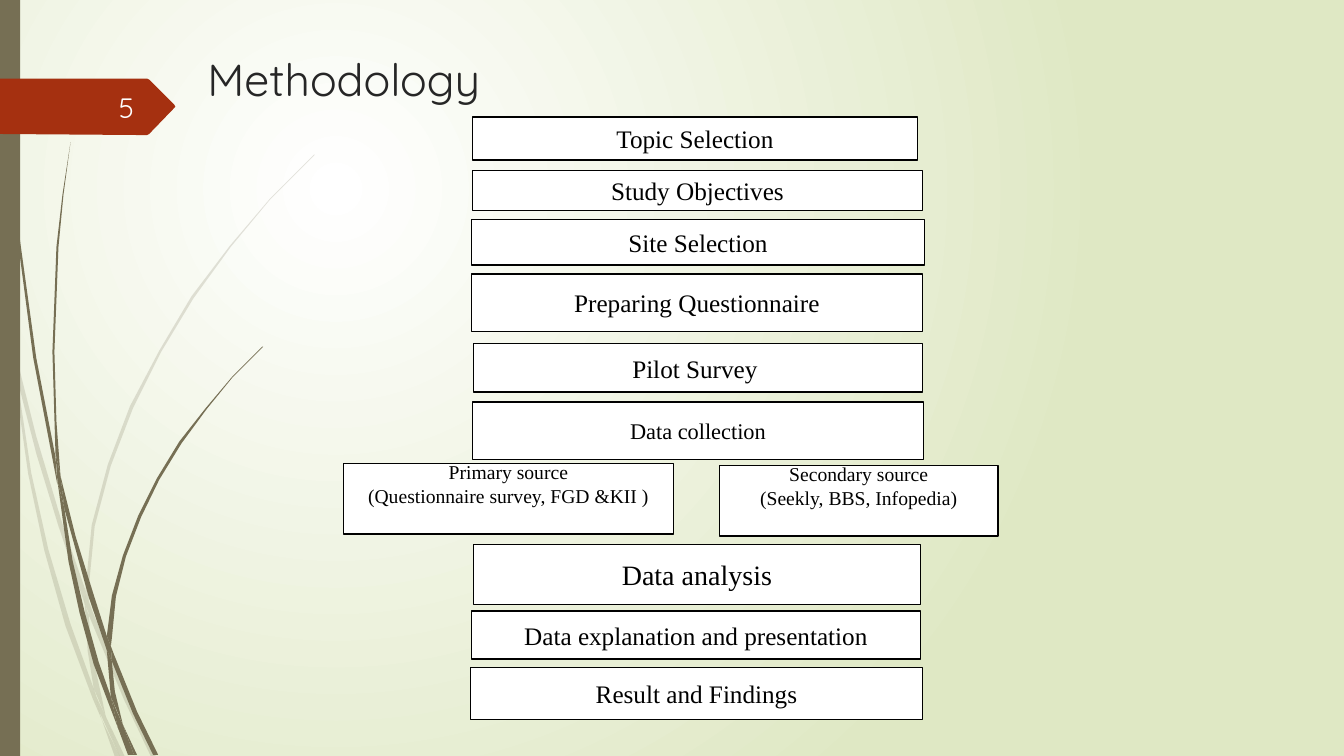
from typing import NamedTuple

from lxml import etree
from pptx import Presentation
from pptx.dml.color import RGBColor
from pptx.enum.shapes import MSO_SHAPE
from pptx.enum.text import MSO_ANCHOR, PP_ALIGN
from pptx.oxml.ns import qn
from pptx.shapes.autoshape import Shape
from pptx.slide import Slide
from pptx.text.text import TextFrame
from pptx.util import Emu, Inches, Pt

RECTANGLE = MSO_SHAPE.RECTANGLE
TOP, MIDDLE = MSO_ANCHOR.TOP, MSO_ANCHOR.MIDDLE
LEFT, CENTER, RIGHT = PP_ALIGN.LEFT, PP_ALIGN.CENTER, PP_ALIGN.RIGHT

WHITE = RGBColor(0xFF, 0xFF, 0xFF)
BLACK = RGBColor(0x00, 0x00, 0x00)
MEADOW = RGBColor(0xDF, 0xE8, 0xC4)
STEM = RGBColor(0x76, 0x6F, 0x54)
RUST = RGBColor(0xA5, 0x30, 0x10)
CHARCOAL = RGBColor(0x26, 0x26, 0x26)
NUMBER_WHITE = RGBColor(0xFE, 0xFF, 0xFF)
HEADING_FONT, BODY_FONT = "Quicksand", "Times New Roman"

COLUMNS, ROWS = 40 / 3, 7.5
SLIDE_WIDTH, SLIDE_HEIGHT = Inches(COLUMNS), Inches(ROWS)
PALE_OPACITY = 20

Outline = list[tuple[float, float]]


class Area(NamedTuple):
    column: float
    row: float
    columns: float
    rows: float


class Style(NamedTuple):
    font: str
    size: float
    color: RGBColor
    align: PP_ALIGN


class Step(NamedTuple):
    area: Area
    lines: list[str]
    size: float = 18
    border: float = 1
    top_inset: float = 0.05
    bottom_inset: float = 0.05


PALE_BLADES: list[Outline] = [
    [(0.11, 3.5), (0.09, 3.22), (0, 2.82), (0, 2.99), (0.1, 3.44)],
    [(0.58, 5.22), (0.84, 5.99), (0.85, 5.86), (0.62, 5.2), (0.36, 4.33),
     (0.14, 3.45), (0.17, 3.76), (0.36, 4.5)],
    [(0.92, 6.07), (0.88, 5.96), (0.88, 6.1), (1.23, 6.94), (1.5, 7.51),
     (1.55, 7.51), (1.27, 6.92)],
    [(1.19, 7.51), (1.24, 7.51), (1.05, 7.11)],
    [(0.93, 6.83), (0.7, 6.19), (0.48, 5.45), (0.31, 4.69), (0.17, 3.76),
     (0.11, 3.5), (0.28, 4.7), (0.44, 5.46), (0.65, 6.21), (0.92, 6.93),
     (1.01, 7.14), (0.99, 7.07)],
    [(0.84, 5.99), (0.87, 6.46), (0.93, 6.83), (1.05, 7.11), (0.91, 6.46),
     (0.88, 6.1)],
    [(0.88, 5.84), (0.94, 5.22), (1.1, 4.62), (1.32, 4.05), (1.6, 3.49),
     (1.92, 2.96), (2.29, 2.45), (2.68, 1.98), (3.12, 1.54), (3.12, 1.53),
     (2.68, 1.97), (2.28, 2.44), (1.9, 2.94), (1.58, 3.48), (1.29, 4.03),
     (1.07, 4.61), (0.91, 5.21), (0.85, 5.84), (0.88, 5.96)],
    [(1.01, 7.14), (1.14, 7.51), (1.19, 7.51)],
    [(0.88, 6.08), (0.88, 5.96), (0.85, 5.86), (0.84, 5.99)],
    [(0.96, 6.92), (0.93, 6.83), (0.99, 7.07), (1.19, 7.51), (1.05, 7.11)],
]

DARK_BLADES: list[Outline] = [
    [(0.07, 1.1), (0.17, 2.33), (0.33, 3.55), (0.57, 4.81), (0.55, 4.53),
     (0.36, 3.55), (0.19, 2.32), (0.08, 1.09), (0.04, 0), (0.03, 0)],
    [(0.88, 5.92), (1.06, 6.45), (1.06, 6.31), (0.93, 5.9), (0.75, 5.32),
     (0.6, 4.72), (0.64, 5.05)],
    [(1.13, 6.49), (1.1, 6.41), (1.11, 6.56), (1.32, 7.08), (1.52, 7.49),
     (1.57, 7.49), (1.36, 7.06)],
    [(1.1, 6.91), (0.98, 6.57), (0.84, 6.07), (0.72, 5.56), (0.64, 5.05),
     (0.57, 4.77), (0.68, 5.57), (0.79, 6.08), (0.93, 6.59), (1.17, 7.22)],
    [(0.6, 4.72), (0.56, 4.18), (0.54, 3.49), (0.58, 2.45), (0.63, 1.93),
     (0.7, 1.41), (0.62, 1.93), (0.56, 2.45), (0.52, 3.49), (0.55, 4.49)],
    [(1.33, 7.49), (1.36, 7.49), (1.22, 7.19)],
    [(0.57, 4.77), (0.64, 5.05), (0.6, 4.72), (0.55, 4.49)],
    [(1.11, 6.33), (1.15, 5.92), (1.25, 5.52), (1.4, 5.13), (1.58, 4.76),
     (1.8, 4.4), (2.05, 4.06), (2.31, 3.74), (2.61, 3.44), (2.6, 3.44),
     (2.31, 3.73), (2.04, 4.05), (1.78, 4.38), (1.56, 4.74), (1.37, 5.12),
     (1.22, 5.51), (1.11, 5.91), (1.06, 6.31), (1.1, 6.41)],
    [(1.17, 7.22), (1.27, 7.49), (1.31, 7.49)],
    [(1.06, 6.45), (1.1, 6.91), (1.22, 7.19), (1.14, 6.86), (1.11, 6.56)],
    [(1.06, 6.45), (1.11, 6.56), (1.1, 6.41), (1.06, 6.31)],
    [(1.16, 7.06), (1.1, 6.91), (1.17, 7.22), (1.3, 7.49), (1.33, 7.49),
     (1.22, 7.19)],
]

BADGE: Outline = [(1.74, 1.06), (1.48, 1.33), (1.46, 1.34), (1.36, 1.34), (0, 1.33),
                  (0, 0.78), (1.46, 0.78), (1.48, 0.79), (1.73, 1.04)]

STEPS = [
    Step(Area(4.69, 1.16, 4.41, 0.43), ["Topic Selection"]),
    Step(Area(4.69, 1.69, 4.46, 0.4), ["Study Objectives"], border=0.75),
    Step(Area(4.68, 2.18, 4.49, 0.45), ["Site Selection"]),
    Step(Area(4.68, 2.72, 4.47, 0.57), ["Preparing Questionnaire"]),
    Step(Area(4.7, 3.41, 4.45, 0.48), ["Pilot Survey "]),
    Step(Area(4.69, 3.99, 4.47, 0.57), ["Data collection"], 16),
    Step(Area(3.41, 4.6, 3.27, 0.7),
         ["Primary source", "(Questionnaire survey, FGD &KII )"], 14, 1, 0, 0.3),
    Step(Area(7.14, 4.62, 2.76, 0.7),
         ["Secondary source", "(Seekly, BBS, Infopedia)"], 14, 1, 0, 0.3),
    Step(Area(4.7, 5.4, 4.43, 0.6), ["Data analysis"], 20),
    Step(Area(4.68, 6.06, 4.45, 0.48), ["Data explanation and presentation"]),
    Step(Area(4.67, 6.62, 4.48, 0.52), ["Result and Findings"]),
]


def across(columns: float) -> Emu:
    return Emu(round(SLIDE_WIDTH * columns / COLUMNS))


def down(rows: float) -> Emu:
    return Emu(round(SLIDE_HEIGHT * rows / ROWS))


def place(area: Area) -> tuple[Emu, Emu, Emu, Emu]:
    return across(area.column), down(area.row), across(area.columns), down(area.rows)


def paint(shape: Shape, color: RGBColor) -> None:
    shape.shadow.inherit = False
    shape.fill.solid()
    shape.fill.fore_color.rgb = color
    shape.line.fill.background()


def paint_background(page: Slide) -> None:
    fill = page.background.fill
    fill.gradient()
    for stop, color, position in zip(fill.gradient_stops, (WHITE, MEADOW), (0, 1)):
        stop.color.rgb = color
        stop.position = position
    gradient = page.element.find(".//" + qn("a:gradFill"))
    gradient.remove(gradient.find(qn("a:lin")))
    circle = etree.SubElement(gradient, qn("a:path"), {"path": "circle"})
    etree.SubElement(circle, qn("a:fillToRect"),
                     {"l": "50000", "t": "50000", "r": "100000", "b": "100000"})


def draw_outline(page: Slide, outline: Outline, color: RGBColor, opacity: int = 100) -> None:
    points = [(across(x), down(y)) for x, y in outline]
    builder = page.shapes.build_freeform(*points[0])
    builder.add_line_segments(points[1:], close=True)
    shape = builder.convert_to_shape()
    paint(shape, color)
    if opacity < 100:
        tint = shape.element.spPr.find(qn("a:solidFill")).find(qn("a:srgbClr"))
        etree.SubElement(tint, qn("a:alpha"), {"val": str(opacity * 1000)})


def write(frame: TextFrame, lines: list[str], style: Style, anchor: MSO_ANCHOR) -> None:
    frame.word_wrap = True
    frame.vertical_anchor = anchor
    for index, line in enumerate(lines):
        para = frame.add_paragraph() if index else frame.paragraphs[0]
        para.alignment = style.align
        span = para.add_run()
        span.text = line
        span.font.name = style.font
        span.font.size = Pt(style.size)
        span.font.color.rgb = style.color


def draw_step(page: Slide, step: Step) -> None:
    box = page.shapes.add_shape(RECTANGLE, *place(step.area))
    paint(box, WHITE)
    box.line.color.rgb = BLACK
    box.line.width = Pt(step.border)
    box.text_frame.margin_top = down(step.top_inset)
    box.text_frame.margin_bottom = down(step.bottom_inset)
    write(box.text_frame, step.lines, Style(BODY_FONT, step.size, BLACK, CENTER), MIDDLE)


def main() -> None:
    deck = Presentation()
    deck.slide_width, deck.slide_height = SLIDE_WIDTH, SLIDE_HEIGHT
    page = deck.slides.add_slide(deck.slide_layouts[6])
    paint_background(page)
    for blade in PALE_BLADES:
        draw_outline(page, blade, STEM, PALE_OPACITY)
    for blade in DARK_BLADES:
        draw_outline(page, blade, STEM)
    side_bar = page.shapes.add_shape(RECTANGLE, *place(Area(0, 0, 0.2, ROWS)))
    paint(side_bar, STEM)
    draw_outline(page, BADGE, RUST)
    title = page.shapes.add_textbox(*place(Area(1.96, 0.46, 9.44, 0.97)))
    write(title.text_frame, ["Methodology"], Style(HEADING_FONT, 32, CHARCOAL, LEFT), TOP)
    number = page.shapes.add_textbox(*place(Area(0.58, 0.86, 0.85, 0.4)))
    write(number.text_frame, ["5"], Style(HEADING_FONT, 20, NUMBER_WHITE, RIGHT), MIDDLE)
    for step in STEPS:
        draw_step(page, step)
    deck.save("out.pptx")


if __name__ == "__main__":
    main()
